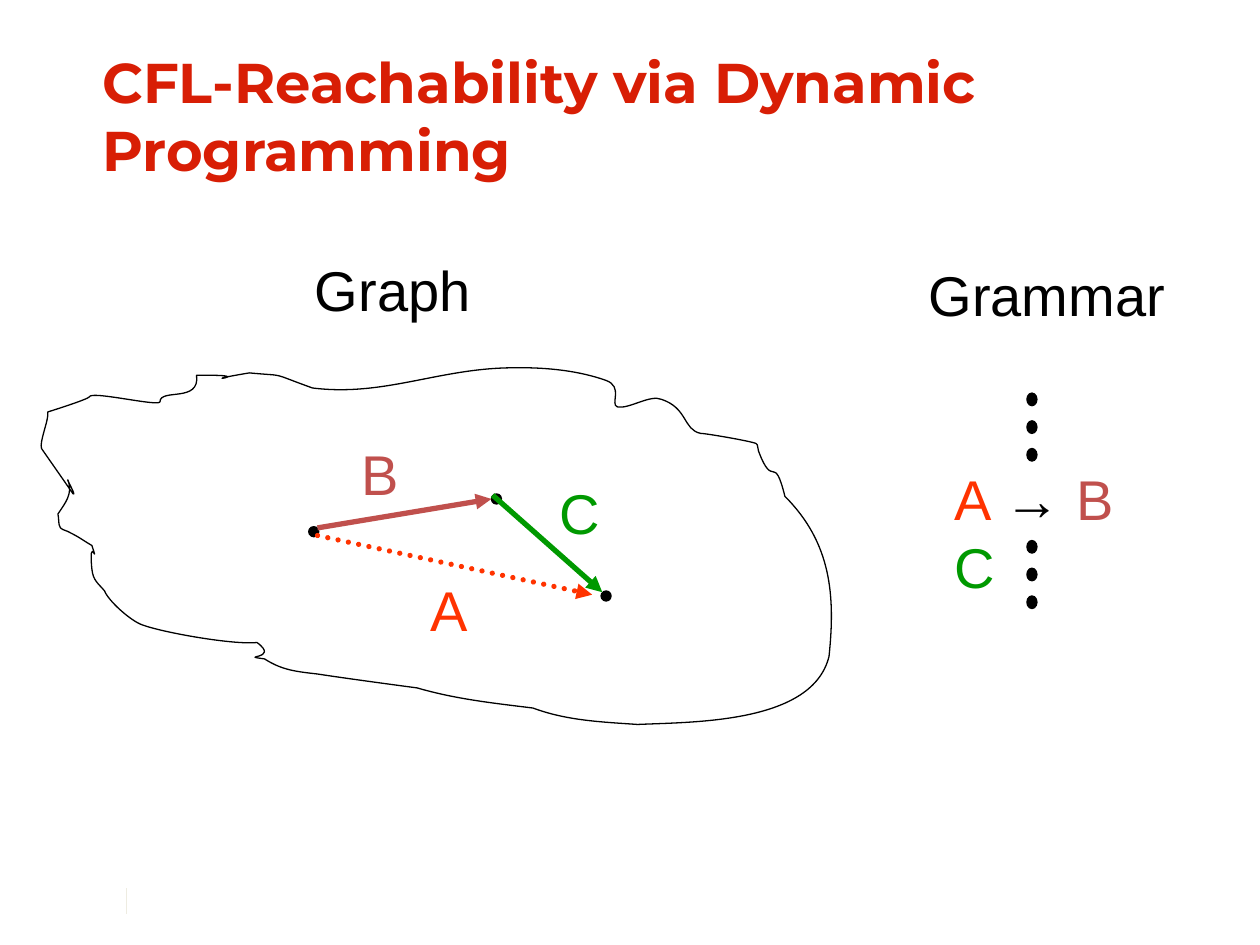
from lxml.etree import SubElement
from pptx import Presentation
from pptx.dml.color import RGBColor
from pptx.enum.dml import MSO_LINE
from pptx.enum.shapes import MSO_CONNECTOR, MSO_SHAPE
from pptx.enum.text import MSO_ANCHOR, MSO_AUTO_SIZE, PP_ALIGN
from pptx.oxml.ns import qn
from pptx.util import Inches, Pt

BLACK = RGBColor(0x00, 0x00, 0x00)
WHITE = RGBColor(0xFF, 0xFF, 0xFF)
TITLE_RED = RGBColor(0xD8, 0x1E, 0x05)
ORANGE = RGBColor(0xFF, 0x33, 0x00)
BRICK = RGBColor(0xC0, 0x50, 0x4D)
GREEN = RGBColor(0x00, 0x99, 0x00)
CREAM = RGBColor(0xEE, 0xEC, 0xE1)

# Content: lengths in inches
TITLE = "CFL-Reachability via Dynamic Programming"
LABELS = [  # text, colour, left, top, width
    ("Grammar", BLACK, 7.27, 2.02, 2.09),
    ("Graph", BLACK, 2.4, 1.98, 1.45),
    ("B", BRICK, 2.77, 3.44, 0.5),
    ("C", GREEN, 4.34, 3.75, 0.5),
    ("A", ORANGE, 3.32, 4.52, 0.52),
]
RULE = [("A ", ORANGE), ("→ ", BLACK), ("B ", BRICK), ("C", GREEN)]
NODES = [(2.45, 4.18), (3.9, 3.92), (4.77, 4.69)]
EDGES = [  # start, end, colour, dotted
    ((2.52, 4.19), (3.9, 3.96), BRICK, False),
    ((3.91, 3.93), (4.78, 4.7), GREEN, False),
    ((2.52, 4.25), (4.7, 4.72), ORANGE, True),
]
DOTS_LEFT, DOT_GAP, DOT_TOPS = 8.15, 0.22, (3.12, 4.29)

# Outline of the graph: start, then two control points and an end per curve
CLOUD_START = (1.27, 3.19)
CLOUD_CURVES = [
    (1.26, 3.23, 0.72, 3.1, 0.71, 3.15),
    (0.7, 3.17, 0.38, 3.27, 0.38, 3.27),
    (0.39, 3.33, 0.31, 3.51, 0.33, 3.56),
    (0.35, 3.59, 0.56, 3.89, 0.58, 3.92),
    (0.61, 3.94, 0.52, 3.79, 0.54, 3.81),
    (0.58, 3.92, 0.52, 3.99, 0.46, 4.08),
    (0.47, 4.12, 0.46, 4.16, 0.48, 4.19),
    (0.5, 4.21, 0.53, 4.21, 0.56, 4.23),
    (0.64, 4.27, 0.66, 4.29, 0.73, 4.33),
    (0.79, 4.52, 0.7, 4.22, 0.73, 4.52),
    (0.74, 4.61, 0.78, 4.63, 0.83, 4.69),
    (0.86, 4.77, 1.04, 4.93, 1.13, 4.96),
    (1.29, 5.02, 1.85, 5.12, 2.04, 5.1),
    (2.23, 5.24, 1.88, 5.2, 2.1, 5.23),
    (2.24, 5.32, 2.35, 5.33, 2.52, 5.35),
    (2.78, 5.39, 3.31, 5.46, 3.31, 5.46),
    (3.62, 5.55, 3.91, 5.58, 4.23, 5.62),
    (4.5, 5.72, 4.77, 5.73, 5.06, 5.75),
    (5.52, 5.73, 6.45, 5.74, 6.58, 5.21),
    (6.63, 4.73, 6.6, 4.31, 6.23, 3.94),
    (6.14, 3.58, 6.14, 3.9, 6.02, 3.58),
    (6.01, 3.56, 6.02, 3.53, 6, 3.52),
    (5.95, 3.5, 5.6, 3.44, 5.56, 3.44),
    (5.42, 3.41, 5.46, 3.24, 5.25, 3.17),
    (5.16, 3.13, 4.99, 3.25, 4.9, 3.23),
    (4.84, 3.21, 4.95, 3.07, 4.81, 3.02),
    (4.67, 2.97, 4.43, 2.91, 4.04, 2.92),
    (3.47, 2.93, 3.04, 3.15, 2.48, 3.08),
    (2.12, 2.95, 2.29, 2.99, 1.98, 2.96),
    (1.44, 3.05, 2.14, 2.97, 1.56, 2.98),
    (1.59, 3.2, 1.27, 3.08, 1.27, 3.19),
]


def add_span(para, text, color, font="Arial", bold=False):
    span = para.add_run()
    span.text = text
    span.font.name, span.font.size, span.font.bold = font, Pt(32), bold
    span.font.color.rgb = color


def paint(shape, fill, line):
    shape.shadow.inherit = False
    shape.fill.solid()
    shape.fill.fore_color.rgb = fill
    shape.line.color.rgb = line
    shape.line.width = Pt(0.75)


def add_filled(page, kind, color, *bounds):
    shape = page.shapes.add_shape(kind, *map(Inches, bounds))
    paint(shape, color, color)
    return shape


def add_line(page, start, end, color, width):
    line = page.shapes.add_connector(
        MSO_CONNECTOR.STRAIGHT, *map(Inches, (*start, *end)))
    line.line.color.rgb = color
    line.line.width = Pt(width)
    SubElement(line._element.spPr, qn("a:effectLst"))
    return line


def add_cloud(page):
    points = [(Inches(curve[i]), Inches(curve[i + 1]))
              for curve in CLOUD_CURVES for i in (0, 2, 4)]
    builder = page.shapes.build_freeform(*map(Inches, CLOUD_START))
    builder.add_line_segments(points, close=True)
    cloud = builder.convert_to_shape()
    paint(cloud, WHITE, BLACK)
    # Join every three line segments into one cubic curve
    segments = list(cloud._element.iter(qn("a:lnTo")))[:len(points)]
    for first, second, third in zip(*[iter(segments)] * 3):
        first.tag = qn("a:cubicBezTo")
        for segment in (second, third):
            first.append(segment[0])
            segment.getparent().remove(segment)


def main():
    deck = Presentation()
    deck.slide_width, deck.slide_height = Inches(10), Inches(7.5)
    page = deck.slides.add_slide(deck.slide_layouts[5])

    # Footer tick and title
    add_line(page, (1, 7.05), (1, 7.25), CREAM, 0.25)
    title = page.shapes.title
    title.left, title.top, title.width, title.height = map(Inches, (0.71, 0.33, 8.5, 1.25))
    frame = title.text_frame
    frame.auto_size, frame.word_wrap = MSO_AUTO_SIZE.NONE, True
    frame.vertical_anchor = MSO_ANCHOR.TOP
    frame.paragraphs[0].alignment = PP_ALIGN.LEFT
    add_span(frame.paragraphs[0], TITLE, TITLE_RED, "Montserrat", True)

    # Graph: outline, nodes, edges
    add_cloud(page)
    for left, top in NODES:
        add_filled(page, MSO_SHAPE.OVAL, BLACK, left, top, 0.08, 0.08)
    for start, end, color, dotted in EDGES:
        edge = add_line(page, start, end, color, 3)
        outline = edge.line._get_or_add_ln()
        if dotted:
            edge.line.dash_style = MSO_LINE.ROUND_DOT
            outline.set("cap", "rnd")
        SubElement(outline, qn("a:tailEnd"), type="triangle")

    # Headings and edge labels
    for text, color, left, top, width in LABELS:
        box = page.shapes.add_textbox(*map(Inches, (left, top, width, 0.64)))
        box.text_frame.word_wrap = False
        add_span(box.text_frame.paragraphs[0], text, color)

    # Grammar: panel, rule, dots above and below
    add_filled(page, MSO_SHAPE.RECTANGLE, WHITE, 7.38, 2.94, 2.25, 2.1)
    rule = add_filled(page, MSO_SHAPE.RECTANGLE, WHITE, 7.48, 3.64, 2.01, 0.64)
    frame = rule.text_frame
    frame.word_wrap, frame.vertical_anchor = True, MSO_ANCHOR.TOP
    frame.margin_right = Inches(0.3)
    frame.paragraphs[0].alignment = PP_ALIGN.LEFT
    for text, color in RULE:
        add_span(frame.paragraphs[0], text, color)
    for top in DOT_TOPS:
        for row in range(3):
            add_filled(page, MSO_SHAPE.OVAL, BLACK,
                       DOTS_LEFT, top + row * DOT_GAP, 0.08, 0.1)

    deck.save("out.pptx")


if __name__ == "__main__":
    main()
